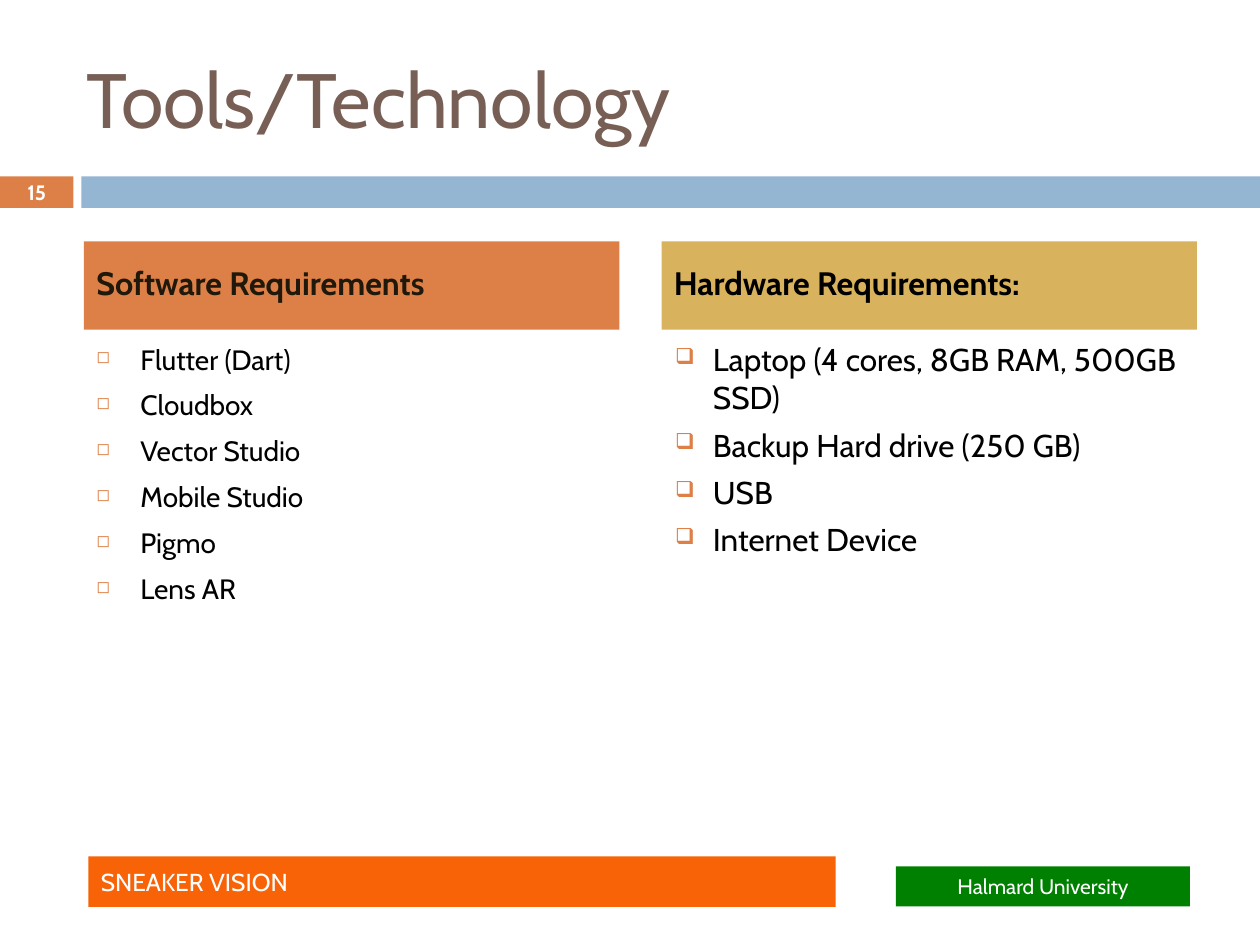
from dataclasses import dataclass

from lxml.etree import SubElement
from pptx import Presentation
from pptx.dml.color import RGBColor
from pptx.enum.shapes import MSO_SHAPE as Preset
from pptx.enum.text import MSO_ANCHOR as Anchor, MSO_AUTO_SIZE as AutoSize, PP_ALIGN as Align
from pptx.oxml.ns import qn
from pptx.util import Pt

FONT = "Cabin"
COLORS = {
    "white": "FFFFFF", "black": "000000", "title": "775F55",
    "orange": "DD8047", "blue": "94B6D2", "gold": "D8B25C",
    "dark": "20190B", "footer": "F86308", "green": "008000",
}
COLUMN_WIDTH = 306
LEFT_COLUMN, RIGHT_COLUMN = 48, 378


@dataclass
class Box:
    left: float
    top: float
    width: float
    height: float


@dataclass
class Label:
    text: str
    size: float
    color: str = "white"
    bold: bool = False
    align: Align = Align.LEFT
    bottom_inset: float = 3.6


@dataclass
class Band:
    box: Box
    fill: str
    label: Label | None = None


@dataclass
class BulletList:
    box: Box
    items: list[str]
    size: float
    space: float
    margin: float
    indent: float
    bullet: str
    bullet_percent: int


def rgb(name: str) -> RGBColor:
    return RGBColor.from_string(COLORS[name])


def add_run(paragraph, text: str, size: float, color: str, bold: bool = False) -> None:
    run = paragraph.add_run()
    run.text = text
    run.font.name = FONT
    run.font.size = Pt(size)
    run.font.bold = bold
    run.font.color.rgb = rgb(color)


def add_band(slide, band: Band) -> None:
    box = band.box
    shape = slide.shapes.add_shape(
        Preset.RECTANGLE, Pt(box.left), Pt(box.top), Pt(box.width), Pt(box.height))
    shape.shadow.inherit = False
    shape.fill.solid()
    shape.fill.fore_color.rgb = rgb(band.fill)
    shape.line.fill.background()
    if band.label:
        label = band.label
        frame = shape.text_frame
        frame.word_wrap = True
        frame.vertical_anchor = Anchor.MIDDLE
        frame.margin_bottom = Pt(label.bottom_inset)
        paragraph = frame.paragraphs[0]
        paragraph.alignment = label.align
        add_run(paragraph, label.text, label.size, label.color, label.bold)


def set_bullet(paragraph, bullets: BulletList) -> None:
    properties = paragraph._p.get_or_add_pPr()
    properties.set("marL", str(Pt(bullets.margin)))
    properties.set("indent", str(Pt(bullets.indent)))
    color = SubElement(properties, qn("a:buClr"))
    SubElement(color, qn("a:srgbClr"), val=COLORS["orange"])
    SubElement(properties, qn("a:buSzPct"), val=str(bullets.bullet_percent * 1000))
    SubElement(properties, qn("a:buChar"), char=bullets.bullet)


def add_bullets(slide, bullets: BulletList) -> None:
    box = bullets.box
    frame = slide.shapes.add_textbox(
        Pt(box.left), Pt(box.top), Pt(box.width), Pt(box.height)).text_frame
    frame.word_wrap = True
    for index, item in enumerate(bullets.items):
        paragraph = frame.add_paragraph() if index else frame.paragraphs[0]
        paragraph.space_before = Pt(bullets.space)
        set_bullet(paragraph, bullets)
        add_run(paragraph, item, bullets.size, "black")


def format_title(slide, text: str, box: Box) -> None:
    title = slide.shapes.title
    title.left, title.top = Pt(box.left), Pt(box.top)
    title.width, title.height = Pt(box.width), Pt(box.height)
    frame = title.text_frame
    frame.auto_size = AutoSize.NONE
    frame.word_wrap = True
    frame.vertical_anchor = Anchor.MIDDLE
    paragraph = frame.paragraphs[0]
    paragraph.alignment = Align.LEFT
    add_run(paragraph, text, 44, "title")


def heading(text: str, color: str) -> Label:
    return Label(text, 18.5, color, bold=True, bottom_inset=7.2)


BANDS = [
    # Page number and rule
    Band(Box(0, 100.8, 42, 18), "orange", Label("15", 11.9, bold=True, align=Align.CENTER)),
    Band(Box(46.5, 100.8, 673.5, 18), "blue"),
    # Column headings
    Band(Box(LEFT_COLUMN, 138, COLUMN_WIDTH, 50.4), "orange",
         heading("Software Requirements", "dark")),
    Band(Box(RIGHT_COLUMN, 138, COLUMN_WIDTH, 50.4), "gold",
         heading("Hardware Requirements:", "black")),
    # Footer
    Band(Box(50.5, 489.4, 427, 28.8), "footer", Label("SNEAKER VISION", 14)),
    Band(Box(512, 495, 168, 23), "green",
         Label("Halmard University", 12, align=Align.CENTER)),
]

LISTS = [
    BulletList(Box(LEFT_COLUMN, 192, COLUMN_WIDTH, 282),
               ["Flutter (Dart)", "Cloudbox", "Vector Studio", "Mobile Studio",
                "Pigmo", "Lens AR"],
               size=16, space=7, margin=25.2, indent=-25.2, bullet="◻", bullet_percent=60),
    BulletList(Box(RIGHT_COLUMN, 191, COLUMN_WIDTH, 282),
               ["Laptop (4 cores, 8GB RAM, 500GB SSD)", "Backup Hard drive (250 GB)",
                "USB", "Internet Device"],
               size=18, space=5.5, margin=22.3, indent=-21.6, bullet="❑", bullet_percent=70),
]


def main() -> None:
    presentation = Presentation()
    presentation.slide_width, presentation.slide_height = Pt(720), Pt(540)
    slide = presentation.slides.add_slide(presentation.slide_layouts[5])
    format_title(slide, "Tools/Technology", Box(42, 21.6, 642, 68.4))
    for band in BANDS:
        add_band(slide, band)
    for bullets in LISTS:
        add_bullets(slide, bullets)
    presentation.save("out.pptx")


if __name__ == "__main__":
    main()
